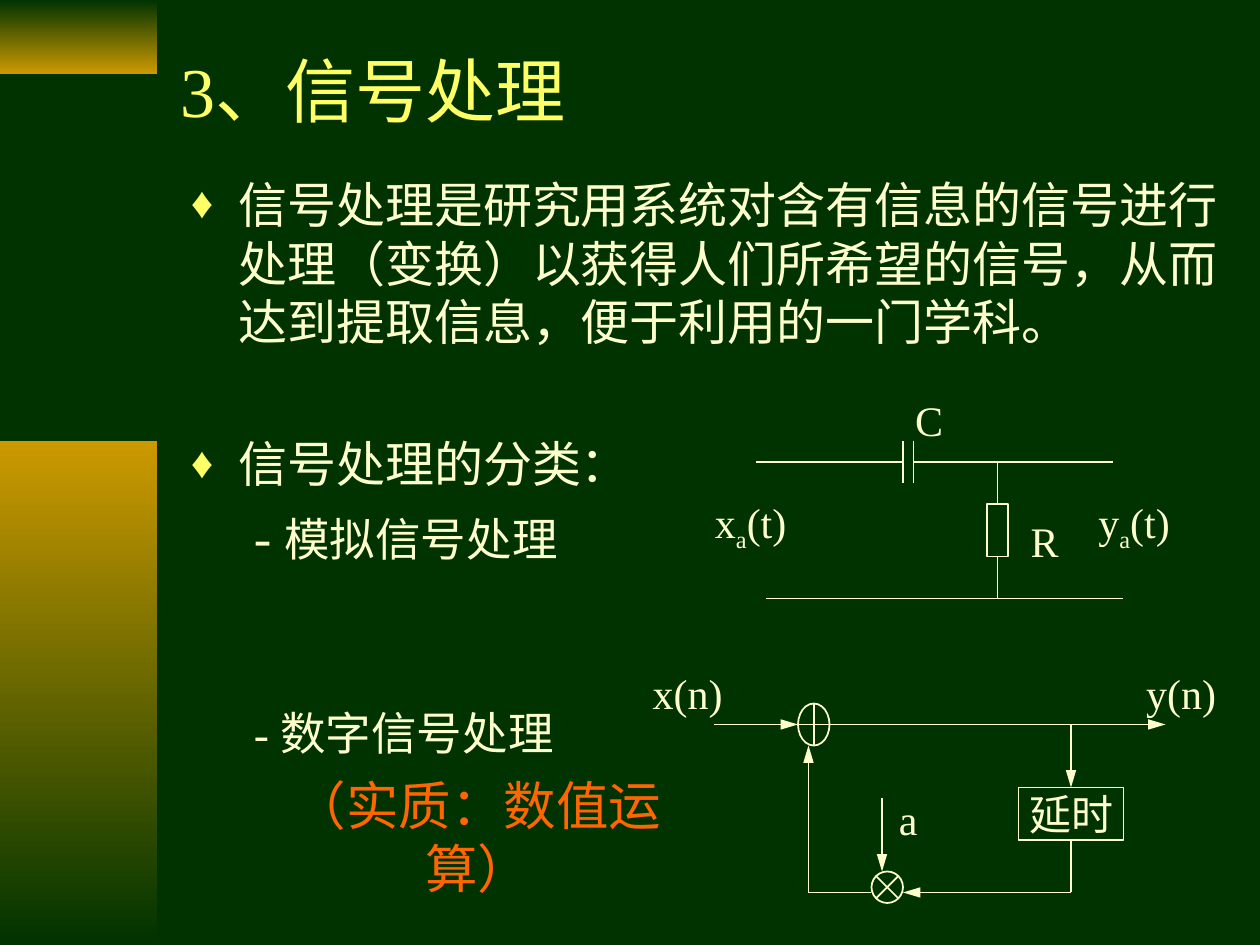
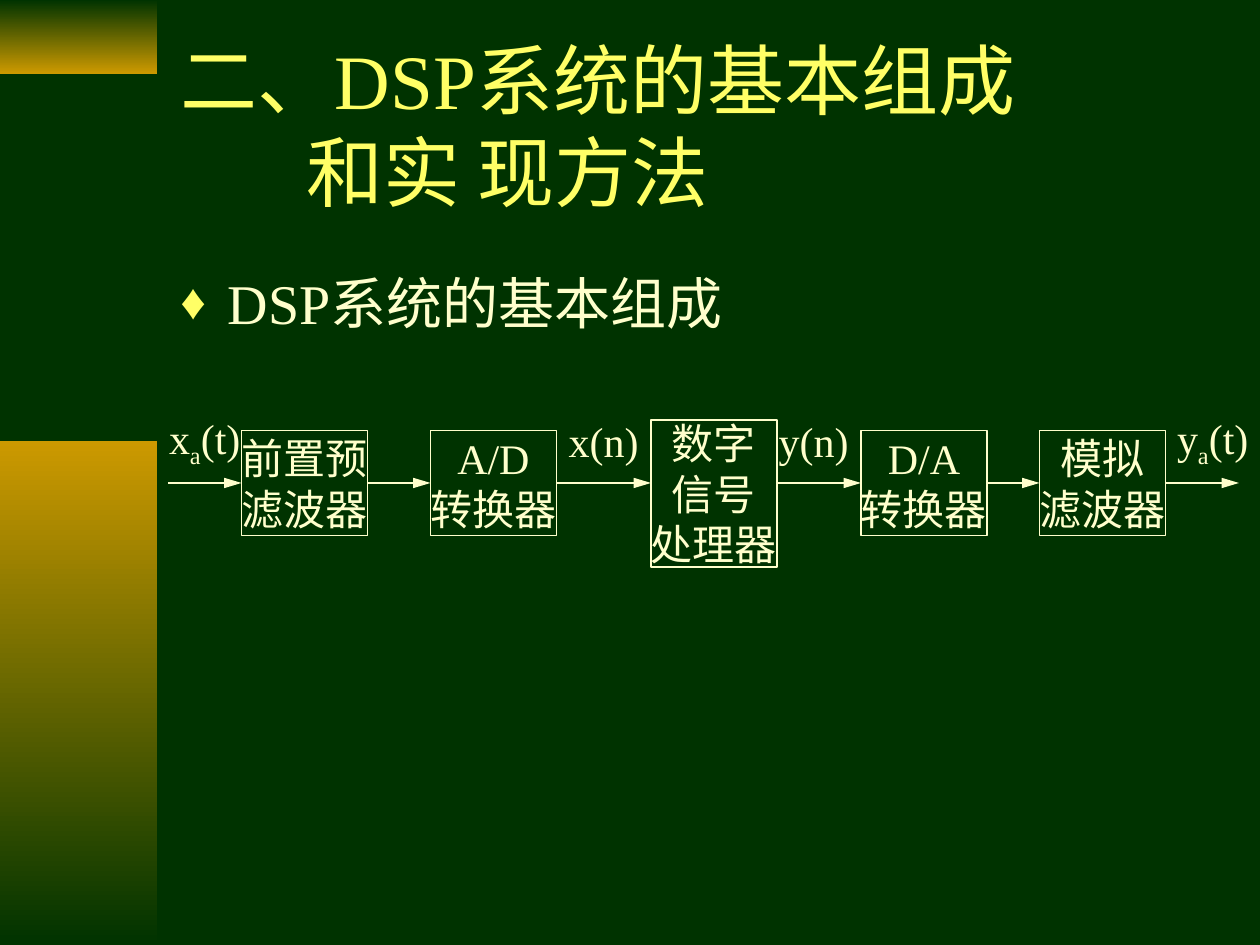
from dataclasses import dataclass
from itertools import pairwise

from lxml import etree
from pptx import Presentation
from pptx import util as u
from pptx.dml.color import RGBColor
from pptx.enum import shapes as sh, text as tx
from pptx.oxml import ns


@dataclass(frozen=True)
class Theme:
    font: str = "Times New Roman"
    back: str = "003300"
    gold: str = "CC9900"
    head: str = "FFFF66"
    ink: str = "FFFFCC"
    hot: str = "FF6600"
    label: int = 24
    sub: int = 26
    body: int = 28
    dash: int = 30
    large: int = 32
    title: int = 40
    main: int = 44
    line: int = 1


T = Theme()
KIND = sh.MSO_SHAPE
XA = ("x", "a", "(t)")
YA = ("y", "a", "(t)")

BANDS = [((0, 0, 15, 7), (T.back, T.gold)), ((0, 42, 15, 48), (T.gold, T.back))]

TASK = {
    "title": ["3、信号处理"],
    "points": [
        "信号处理是研究用系统对含有信息的信号进行处理（变换）以获得人们所希望的信号，"
        "从而达到提取信息，便于利用的一门学科。",
        "信号处理的分类：",
    ],
    "analog": [("- ", T.dash), ("模拟信号处理", T.sub)],
    "digital": "- 数字信号处理",
    "core": "（实质：数值运算）",
}
RC_WIRES = [
    (72, 44, 86, 44), (86, 42, 86, 46), (87, 42, 87, 46), (87, 44, 106, 44),
    (95, 44, 95, 48), (95, 53, 95, 57), (73, 57, 107, 57),
]
RC_LABELS = [
    (("C",), (85, 38, 7, 4)), (("R",), (97, 50, 5, 3)),
    (XA, (68, 48, 7, 4)), (YA, (103, 47, 10, 6)),
]
LOOP_WIRES = [(102, 80, 102, 85), (83, 85, 77, 85)]
LOOP_FLOWS = [
    (68, 69, 76, 69), (79, 69, 111, 69), (102, 69, 102, 75),
    (84, 76, 84, 83), (102, 85, 86, 85), (77, 85, 77, 71),
]
LOOP_LABELS = [
    (("x(n)",), (62, 64, 7, 4)), (("y(n)",), (109, 64, 7, 4)),
    (("a",), (83, 76, 7, 4)),
]
NODES = [
    (KIND.RECTANGLE, (94, 48, 2, 5), []),
    (KIND.FLOWCHART_OR, (76, 67, 3, 4), []),
    (KIND.RECTANGLE, (97, 75, 10, 5), ["延时"]),
    (KIND.FLOWCHART_SUMMING_JUNCTION, (83, 83, 3, 3), []),
]

CHAIN = {
    "title": ["二、DSP系统的基本组成", "和实 现方法"],
    "point": "DSP系统的基本组成",
    "stages": [
        (23, ["前置预", "滤波器"]), (41, ["A/D", "转换器"]),
        (62, ["数字", "信号", "处理器"]), (82, ["D/A", "转换器"]),
        (99, ["模拟", "滤波器"]),
    ],
    "signals": [(16, XA), (54, ("x(n)",)), (74, ("y(n)",)), (112, YA)],
    "ends": (16, 118),
    "axis": 46,
    "width": 12,
}


def grid(*nums):
    return [u.Cm(n * 2.54 / 12) for n in nums]


def tint(code):
    return RGBColor.from_string(code)


def write(para, words, size, color=T.ink):
    run = para.add_run()
    run.text = words
    run.font.name = T.font
    run.font.size = u.Pt(size)
    run.font.color.rgb = tint(color)
    return run


def indent(para, left, first=0):
    props = para._p.get_or_add_pPr()
    props.set("marL", str(u.Cm(left)))
    props.set("indent", str(u.Cm(first)))
    return props


def bullet(para):
    props = indent(para, 0.96, -0.96)
    color = etree.SubElement(props, ns.qn("a:buClr"))
    etree.SubElement(color, ns.qn("a:srgbClr"), val=T.head)
    etree.SubElement(props, ns.qn("a:buSzPct"), val="90000")
    etree.SubElement(props, ns.qn("a:buFont"), typeface=T.font)
    etree.SubElement(props, ns.qn("a:buChar"), char="♦")


def panel(slide, place):
    frame = slide.shapes.add_textbox(*grid(*place)).text_frame
    frame.word_wrap = True
    return frame


def block(slide, kind, place, lines):
    shape = slide.shapes.add_shape(kind, *grid(*place))
    shape.shadow.inherit = False
    shape.fill.background()
    frame = shape.text_frame
    frame.word_wrap = False
    frame.vertical_anchor = tx.MSO_ANCHOR.MIDDLE
    for at, parts in enumerate(lines):
        para = frame.add_paragraph() if at else frame.paragraphs[0]
        para.alignment = tx.PP_ALIGN.CENTER
        for spot, part in enumerate(parts):
            run = write(para, part, T.label)
            if spot == 1:
                run._r.get_or_add_rPr().set("baseline", "-25000")
    return shape


def label(slide, parts, place):
    block(slide, KIND.RECTANGLE, place, [parts]).line.fill.background()


def node(slide, kind, place, lines):
    ink(block(slide, kind, place, [(words,) for words in lines]).line)


def ink(line):
    line.color.rgb = tint(T.ink)
    line.width = u.Pt(T.line)


def wire(slide, ends, arrow=False):
    link = slide.shapes.add_connector(sh.MSO_CONNECTOR.STRAIGHT, *grid(*ends))
    ink(link.line)
    if arrow:
        etree.SubElement(link.line._get_or_add_ln(), ns.qn("a:tailEnd"),
                         type="triangle", w="med", len="lg")
    etree.SubElement(link._element.spPr, ns.qn("a:effectLst"))


def start(deck, lines, size, height):
    slide = deck.slides.add_slide(deck.slide_layouts[5])
    title = slide.shapes.title
    title.left, title.top, title.width, title.height = grid(16, 4, 102, height)
    frame = title.text_frame
    frame.auto_size = tx.MSO_AUTO_SIZE.NONE
    frame.vertical_anchor = tx.MSO_ANCHOR.MIDDLE
    para = frame.paragraphs[0]
    para.alignment = tx.PP_ALIGN.LEFT
    if len(lines) > 1:
        indent(para, 2.54, -2.54)
    for at, words in enumerate(lines):
        if at:
            para.add_line_break()
        write(para, words, size, T.head)
    return slide


def dress(slide):
    layout = slide.slide_layout
    layout.background.fill.solid()
    layout.background.fill.fore_color.rgb = tint(T.back)
    for at, (place, colors) in enumerate(BANDS):
        band = slide.shapes.add_shape(KIND.RECTANGLE, *grid(*place))
        band.shadow.inherit = False
        band.line.fill.background()
        band.fill.gradient()
        band.fill.gradient_angle = 270
        for stop, color in zip(band.fill.gradient_stops, colors):
            stop.color.rgb = tint(color)
        item = band._element
        item.nvSpPr.cNvPr.set("id", str(20 + at))
        layout.shapes._spTree.insert(2 + at, item)


def task(deck):
    slide = start(deck, TASK["title"], T.title, 9)
    dress(slide)
    frame = panel(slide, (17, 16, 103, 74))
    for at, words in enumerate(TASK["points"]):
        para = frame.add_paragraph() if at else frame.paragraphs[0]
        if at:
            para.space_before = u.Pt(47.5)
        bullet(para)
        write(para, words, T.body)
    para = frame.add_paragraph()
    para.space_before = u.Pt(6.5)
    indent(para, 2.06, -0.79)
    for words, size in TASK["analog"]:
        write(para, words, size)

    for ends in RC_WIRES + LOOP_WIRES:
        wire(slide, ends)
    for ends in LOOP_FLOWS:
        wire(slide, ends, True)
    for kind, place, lines in NODES:
        node(slide, kind, place, lines)
    for parts, place in RC_LABELS + LOOP_LABELS:
        label(slide, parts, place)

    para = panel(slide, (17, 66.6, 42, 6.5)).paragraphs[0]
    indent(para, 1.27)
    write(para, TASK["digital"], T.sub)
    para = panel(slide, (22, 73, 47, 13.2)).paragraphs[0]
    para.alignment = tx.PP_ALIGN.CENTER
    write(para, TASK["core"], T.dash, T.hot)


def chain(deck):
    slide = start(deck, CHAIN["title"], T.main, 15.8)
    para = panel(slide, (16, 25, 102, 55)).paragraphs[0]
    bullet(para)
    write(para, CHAIN["point"], T.large)
    wide, axis = CHAIN["width"], CHAIN["axis"]
    first, last = CHAIN["ends"]
    for left, lines in CHAIN["stages"]:
        top, tall = (40, 14) if len(lines) > 2 else (41, 10)
        node(slide, KIND.RECTANGLE, (left, top, wide, tall), lines)
    for left, parts in CHAIN["signals"]:
        label(slide, parts, (left, 40, 7, 4))
    stops = [first - wide] + [left for left, _ in CHAIN["stages"]] + [last]
    for left, right in pairwise(stops):
        wire(slide, (left + wide, axis, right, axis), True)


def main():
    deck = Presentation()
    deck.slide_width, deck.slide_height = u.Cm(25.4), u.Cm(19.05)
    task(deck)
    chain(deck)
    deck.save("out.pptx")


if __name__ == "__main__":
    main()
